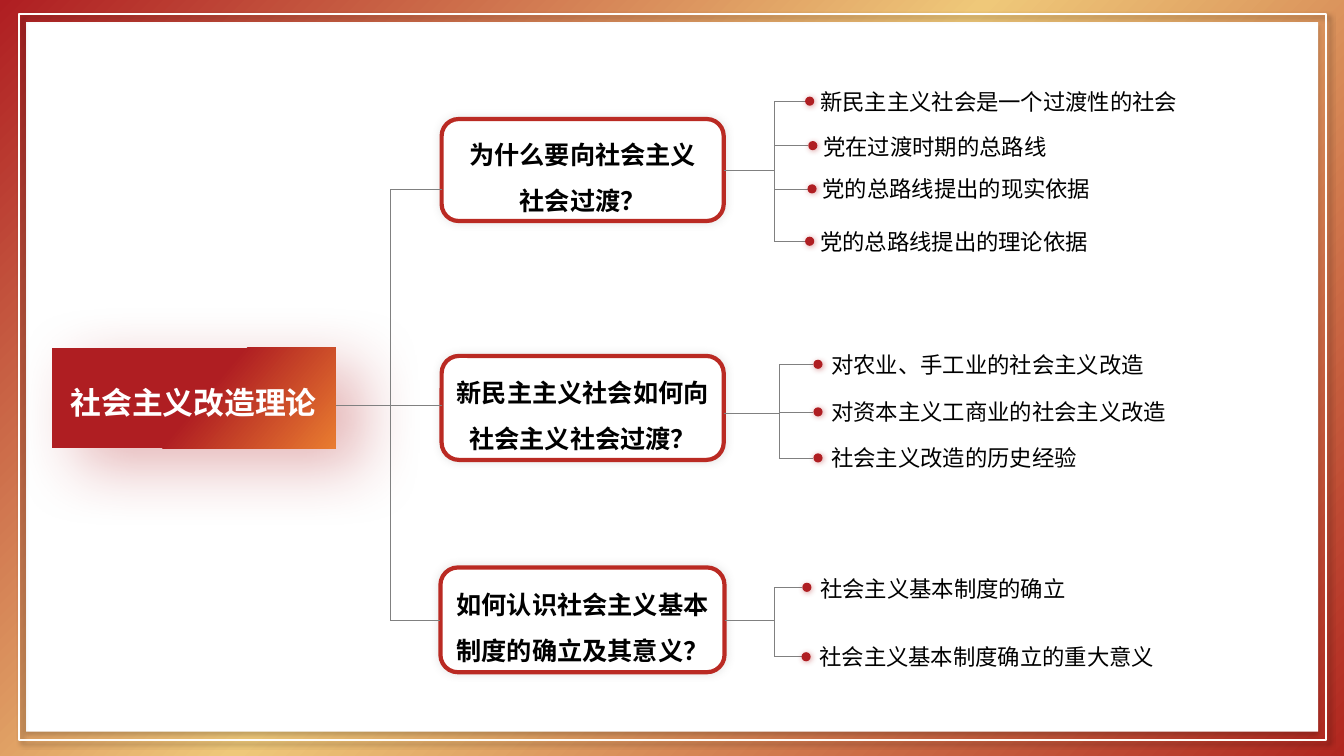
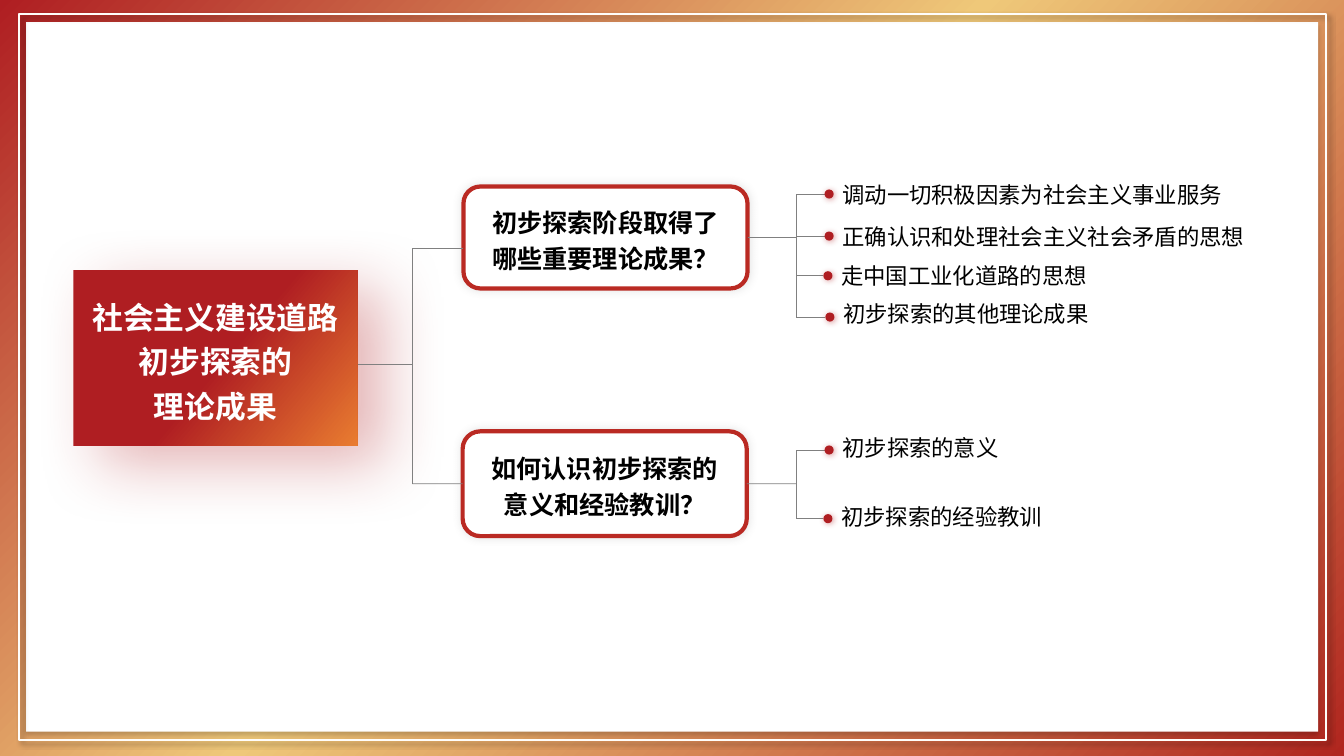
from lxml import etree
from pptx import Presentation
from pptx.dml.color import RGBColor
from pptx.enum.shapes import MSO_CONNECTOR, MSO_SHAPE
from pptx.enum.text import MSO_ANCHOR, MSO_AUTO_SIZE, PP_ALIGN
from pptx.oxml.ns import qn
from pptx.util import Cm, Pt

MIND_MAPS = [
    {
        "title": ["社会主义改造理论"],
        "root": (1.3, 8.76, 7.16, 2.54), "stem_y": 10.21, "trunk_x": 9.83,
        "spacing": 1.5,
        "branches": [
            {
                "lines": ["为什么要向社会主义", "社会过渡？"],
                "box": (11.13, 3, 7.11, 2.57), "entry": 4.78,
                "trunk_x": 19.51, "gap": 0.13,
                "leaves": [
                    ("新民主主义社会是一个过渡性的社会", 2.55, 20.29, 2.55),
                    ("党在过渡时期的总路线", 3.7, 20.37, 3.67),
                    ("党的总路线提出的现实依据", 4.76, 20.35, 4.76),
                    ("党的总路线提出的理论依据", 6.08, 20.29, 6.08),
                ],
            },
            {
                "lines": ["新民主主义社会如何向社会主义社会过渡？"],
                "box": (11.13, 8.97, 7.11, 2.62), "entry": 10.21, "exit": 10.41,
                "trunk_x": 19.63, "gap": 0.2,
                "leaves": [
                    ("对农业、手工业的社会主义改造", 9.18, 20.5, 9.18),
                    ("对资本主义工商业的社会主义改造", 10.38, 20.5, 10.38),
                    ("社会主义改造的历史经验", 11.54, 20.5, 11.54),
                ],
            },
            {
                "lines": ["如何认识社会主义基本制度的确立及其意义？"],
                "box": (11.1, 14.3, 7.16, 2.64),
                "trunk_x": 19.51, "gap": 0.2,
                "leaves": [
                    ("社会主义基本制度的确立", 14.82, 20.22, 14.8),
                    ("社会主义基本制度确立的重大意义", 16.55, 20.2, 16.55),
                ],
            },
        ],
    },
    {
        "title": ["社会主义建设道路", "初步探索的", "理论成果"],
        "root": (1.85, 6.81, 7.16, 4.42), "stem_y": 9.19, "trunk_x": 10.39,
        "spacing": 1.2,
        "branches": [
            {
                "lines": ["初步探索阶段取得了", "哪些重要理论成果？"],
                "box": (11.68, 4.7, 7.16, 2.57), "entry": 6.25,
                "trunk_x": 20.07, "gap": 0.2,
                "leaves": [
                    ("调动一切积极因素为社会主义事业服务", 4.91, 20.78, 4.89),
                    ("正确认识和处理社会主义社会矛盾的思想", 5.96, 20.78, 5.95),
                    ("走中国工业化道路的思想", 6.95, 20.75, 6.95),
                    ("初步探索的其他理论成果", 7.91, 20.8, 7.99),
                ],
            },
            {
                "lines": ["如何认识初步探索的", "意义和经验教训？"],
                "box": (11.66, 10.87, 7.16, 2.64),
                "trunk_x": 20.07, "gap": 0.2,
                "leaves": [
                    ("初步探索的意义", 11.29, 20.78, 11.34),
                    ("初步探索的经验教训", 13.02, 20.75, 13.07),
                ],
            },
        ],
    },
]

FONT = "Noto Sans CJK SC"
WIDTH, HEIGHT = 33.87, 19.05
DOT, LEAF_WIDTH, LEAF_HEIGHT = 0.23, 11.6, 0.94

RED = RGBColor(0xAF, 0x1E, 0x22)
BRICK = RGBColor(0xB0, 0x26, 0x1F)
GOLD = RGBColor(0xEF, 0xC8, 0x79)
ORANGE = RGBColor(0xE9, 0x7C, 0x30)
BORDER = RGBColor(0xBA, 0x2A, 0x23)
CREAM = RGBColor(0xFF, 0xFD, 0xFA)
WHITE = RGBColor(0xFF, 0xFF, 0xFF)
BLACK = RGBColor(0, 0, 0)
GRAY = RGBColor(0x80, 0x80, 0x80)

RECTANGLE = MSO_SHAPE.RECTANGLE
ROUNDED = MSO_SHAPE.ROUNDED_RECTANGLE
OVAL = MSO_SHAPE.OVAL
STRAIGHT = MSO_CONNECTOR.STRAIGHT
MIDDLE = MSO_ANCHOR.MIDDLE
NO_FIT = MSO_AUTO_SIZE.NONE
LEFT, CENTER = PP_ALIGN.LEFT, PP_ALIGN.CENTER
LEFT_SIDE, RIGHT_SIDE = 1, 3

ROOT_TEXT = {"size": Pt(22), "bold": True, "color": WHITE}
BRANCH_TEXT = {"size": Pt(18), "bold": True, "color": BLACK}
LEAF_TEXT = {"size": Pt(16), "bold": False, "color": BLACK}

PAGE_GRADIENT = ([(0, BRICK), (53, GOLD), (100, RED)], 225)
ROOT_GRADIENT = ([(52, RED), (100, ORANGE)], 40)

PANEL_SHADOW = (BLACK, 20, 4, 3, 90)
FRAME_SHADOW = (BLACK, 40, 4, 3, 45)
ROOT_SHADOW = (RED, 33, 46, 23, 35)
BRANCH_SHADOW = (GRAY, 20, 6, 0, 315)
DOT_SHADOW = (RED, 40, 4, 1, 45)


def add_color(parent, color):
    return etree.SubElement(parent, qn("a:srgbClr"), val=str(color))


def paint_gradient(shape, stops, angle):
    shape.fill.gradient()
    gradient = shape._element.spPr.find(qn("a:gradFill"))
    stop_list = gradient.find(qn("a:gsLst"))
    for old_stop in list(stop_list):
        stop_list.remove(old_stop)
    for position, color in stops:
        stop = etree.SubElement(stop_list, qn("a:gs"), pos=str(position * 1000))
        add_color(stop, color)
    line = gradient.find(qn("a:lin"))
    line.set("ang", str(angle * 60000))
    line.set("scaled", "0")


def cast_shadow(shape, color, opacity, blur, distance, angle):
    shape.shadow.inherit = False
    effects = shape._element.spPr.find(qn("a:effectLst"))
    shadow = etree.SubElement(
        effects, qn("a:outerShdw"), blurRad=str(Pt(blur)), dist=str(Pt(distance)),
        dir=str(angle * 60000), algn="ctr", rotWithShape="0")
    tint = add_color(shadow, color)
    etree.SubElement(tint, qn("a:alpha"), val=str(opacity * 1000))


def add_block(page, kind, area, fill=None, border=None, shadow=None):
    block = page.shapes.add_shape(kind, *map(Cm, area))
    block.shadow.inherit = False
    if fill is None:
        block.fill.background()
    else:
        block.fill.solid()
        block.fill.fore_color.rgb = fill
    if border is None:
        block.line.fill.background()
    else:
        block.line.color.rgb, block.line.width = border
    if shadow:
        cast_shadow(block, *shadow)
    return block


def write(box, lines, style, align, spacing=1.0):
    frame = box.text_frame
    frame.text = "\n".join(lines)
    settings = {"word_wrap": True, "auto_size": NO_FIT, "vertical_anchor": MIDDLE}
    for name, value in settings.items():
        setattr(frame, name, value)
    for para in frame.paragraphs:
        para.alignment = align
        para.line_spacing = spacing
        for span in para.runs:
            font = span.font
            for name, value in {"name": FONT, "size": style["size"], "bold": style["bold"]}.items():
                setattr(font, name, value)
            font.color.rgb = style["color"]
            etree.SubElement(span._r.get_or_add_rPr(), qn("a:ea"), typeface=FONT)


def add_wire(page, x1, y1, x2, y2, source=None, target=None):
    wire = page.shapes.add_connector(STRAIGHT, Cm(x1), Cm(y1), Cm(x2), Cm(y2))
    if source is not None:
        wire.begin_connect(source, RIGHT_SIDE)
    if target is not None:
        wire.end_connect(target, LEFT_SIDE)
    wire.line.color.rgb = GRAY
    wire.line.width = Pt(0.5)
    etree.SubElement(wire._element.spPr, qn("a:effectLst"))


def add_master_frame(page):
    backdrop = add_block(page, RECTANGLE, (0, 0, WIDTH, HEIGHT))
    paint_gradient(backdrop, *PAGE_GRADIENT)
    panel = add_block(page, RECTANGLE, (0.66, 0.56, 32.56, 17.88), WHITE, None, PANEL_SHADOW)
    frame = add_block(page, RECTANGLE, (0.48, 0.36, 32.94, 18.29), None,
                      (CREAM, Pt(1.5)), FRAME_SHADOW)
    tree = page.slide_layout.slide_master.shapes._spTree
    for index, part in enumerate((backdrop, panel, frame), 2):
        tree.insert(index, part._element)


def add_root(page, area, lines):
    root = page.shapes.title
    for name, value in zip(("left", "top", "width", "height"), area):
        setattr(root, name, Cm(value))
    outline = etree.SubElement(root._element.spPr, qn("a:prstGeom"), prst="roundRect")
    etree.SubElement(outline, qn("a:avLst"))
    paint_gradient(root, *ROOT_GRADIENT)
    cast_shadow(root, *ROOT_SHADOW)
    write(root, lines, ROOT_TEXT, CENTER, 1.2)


def add_leaf(page, leaf, trunk_x, gap):
    text, text_y, dot_x, dot_y = leaf
    add_wire(page, trunk_x, dot_y, dot_x, dot_y)
    add_block(page, OVAL, (dot_x, dot_y - DOT / 2, DOT, DOT), RED, None, DOT_SHADOW)
    label = page.shapes.add_textbox(
        Cm(dot_x + gap), Cm(text_y - LEAF_HEIGHT / 2), Cm(LEAF_WIDTH), Cm(LEAF_HEIGHT))
    write(label, [text], LEAF_TEXT, LEFT)


def add_branch(page, branch, root_trunk, spacing):
    left, top, width, height = branch["box"]
    center = top + height / 2
    entry = branch.get("entry", center)
    leave = branch.get("exit", center)
    trunk_x = branch["trunk_x"]
    box = add_block(page, ROUNDED, branch["box"], WHITE, (BORDER, Pt(3)), BRANCH_SHADOW)
    write(box, branch["lines"], BRANCH_TEXT, CENTER, spacing)
    add_wire(page, root_trunk, entry, left, entry, target=box if entry == center else None)
    add_wire(page, left + width, leave, trunk_x, leave, source=box if leave == center else None)
    levels = [leaf[-1] for leaf in branch["leaves"]]
    add_wire(page, trunk_x, min(levels), trunk_x, max(levels))
    for leaf in branch["leaves"]:
        add_leaf(page, leaf, trunk_x, branch["gap"])
    return entry


def add_mind_map(page, content):
    left, _, width, _ = content["root"]
    trunk_x, stem_y = content["trunk_x"], content["stem_y"]
    add_root(page, content["root"], content["title"])
    add_wire(page, left + width, stem_y, trunk_x, stem_y)
    entries = [add_branch(page, branch, trunk_x, content["spacing"])
               for branch in content["branches"]]
    add_wire(page, trunk_x, min(entries), trunk_x, max(entries))


def main():
    deck = Presentation()
    deck.slide_width, deck.slide_height = Cm(WIDTH), Cm(HEIGHT)
    title_only = deck.slide_layouts[5]
    pages = [deck.slides.add_slide(title_only) for _ in MIND_MAPS]
    add_master_frame(pages[0])
    for page, content in zip(pages, MIND_MAPS):
        add_mind_map(page, content)
    deck.save("out.pptx")


if __name__ == "__main__":
    main()
